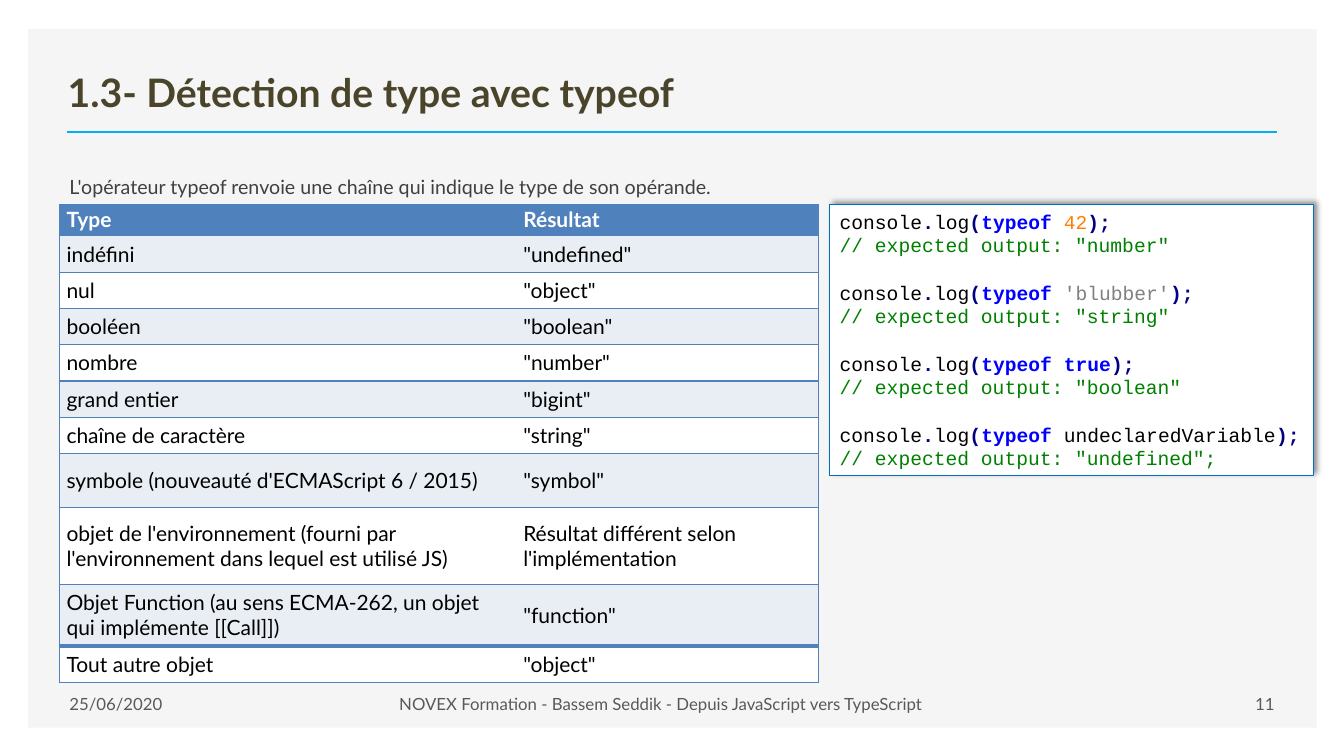
"""Build the slide on type detection with typeof."""
from dataclasses import dataclass

from lxml.etree import SubElement
from pptx import Presentation
from pptx.dml.color import RGBColor as Rgb
from pptx.enum.shapes import MSO_CONNECTOR as Link, MSO_SHAPE as Form
from pptx.enum.text import MSO_ANCHOR as Anchor, PP_ALIGN as Align
from pptx.oxml.ns import qn
from pptx.util import Inches, Pt

WHITE = Rgb(0xFF, 0xFF, 0xFF)
BLACK = Rgb(0, 0, 0)
PANEL = Rgb(0xF5, 0xF5, 0xF5)
CYAN = Rgb(0x00, 0xB0, 0xF0)
OLIVE = Rgb(0x4A, 0x45, 0x2A)
DARK = Rgb(0x40, 0x40, 0x40)
GREY = Rgb(0x59, 0x59, 0x59)
STEEL = Rgb(0x4F, 0x81, 0xBD)
PALE = Rgb(0xE9, 0xED, 0xF4)
EDGE = Rgb(0x00, 0x70, 0xC0)
NAVY = Rgb(0x00, 0x00, 0x80)
BLUE = Rgb(0x00, 0x00, 0xFF)
ORANGE = Rgb(0xFF, 0x80, 0x00)
SILVER = Rgb(0x80, 0x80, 0x80)
GREEN = Rgb(0x00, 0x80, 0x00)
SANS, MONO = "Lato", "Courier New"
PITCH = Pt(16.9)


@dataclass
class Note:
    text: str
    left: float
    top: float
    width: float
    height: float
    size: int
    color: Rgb
    align: Align = Align.LEFT
    anchor: Anchor = Anchor.MIDDLE
    pitch: float = 1.0


@dataclass
class Row:
    kind: str
    result: str
    height: float = 0.36


@dataclass
class Sample:
    value: str
    color: Rgb
    output: str
    bold: bool = False


NOTES = [
    Note("L'opérateur typeof renvoie une chaîne qui indique le type de son opérande.",
         0.59, 1.57, 10.25, 0.45, 14, DARK, anchor=Anchor.TOP, pitch=1.5),
    Note("25/06/2020", 0.59, 6.78, 1.68, 0.4, 12, GREY),
    Note("NOVEX Formation - Bassem Seddik - Depuis JavaScript vers TypeScript",
         2.27, 6.78, 8.57, 0.4, 12, GREY, Align.CENTER),
    Note("11", 10.84, 6.78, 1.9, 0.4, 12, GREY, Align.RIGHT),
]
ROWS = [
    Row("Type", "Résultat", 0.31),
    Row("indéfini", '"undefined"'),
    Row("nul", '"object"'),
    Row("booléen", '"boolean"'),
    Row("nombre", '"number"'),
    Row("grand entier", '"bigint"'),
    Row("chaîne de caractère", '"string"'),
    Row("symbole (nouveauté d'ECMAScript 6 / 2015)", '"symbol"', 0.54),
    Row("objet de l'environnement (fourni par l'environnement dans lequel est utilisé JS)",
        "Résultat différent selon l'implémentation", 0.76),
    Row("Objet Function (au sens ECMA-262, un objet qui implémente [[Call]])",
        '"function"', 0.61),
    Row("Tout autre objet", '"object"'),
]
SAMPLES = [
    Sample("42", ORANGE, '"number"'),
    Sample("'blubber'", SILVER, '"string"'),
    Sample("true", BLUE, '"boolean"', True),
    Sample("undeclaredVariable", BLACK, '"undefined";'),
]


def write(para, text: str, size: int, color: Rgb, bold: bool = False,
          font: str = SANS) -> None:
    """Add one formatted run to a paragraph."""
    run = para.add_run()
    run.text = text
    run.font.name, run.font.size, run.font.bold = font, Pt(size), bold
    run.font.color.rgb = color


def add_frame(slide) -> None:
    """Draw the grey panel, the title and the rule under it."""
    panel = slide.shapes.add_shape(
        Form.RECTANGLE, Inches(0.28), Inches(0.29), Inches(12.78), Inches(6.93))
    panel.shadow.inherit = False
    panel.fill.solid()
    panel.fill.fore_color.rgb = PANEL
    panel.line.fill.background()
    rule = slide.shapes.add_connector(
        Link.STRAIGHT, Inches(0.66), Inches(1.31), Inches(12.67), Inches(1.31))
    rule.line.color.rgb, rule.line.width = CYAN, Pt(2)
    SubElement(rule._element.spPr, qn("a:effectLst"))
    title = slide.shapes.title
    title.left, title.top = Inches(0.57), Inches(0.49)
    title.width, title.height = Inches(12.01), Inches(0.7)
    title.text_frame.vertical_anchor = Anchor.BOTTOM
    para = title.text_frame.paragraphs[0]
    para.alignment = Align.LEFT
    write(para, "1.3- Détection de type avec typeof", 28, OLIVE, True)
    panel._element.getparent().append(title._element)


def add_note(slide, note: Note) -> None:
    """Add one line of plain text."""
    box = slide.shapes.add_textbox(Inches(note.left), Inches(note.top),
                                   Inches(note.width), Inches(note.height))
    frame = box.text_frame
    frame.word_wrap, frame.vertical_anchor = True, note.anchor
    para = frame.paragraphs[0]
    para.alignment, para.line_spacing = note.align, note.pitch
    write(para, note.text, note.size, note.color)


def set_edge(cell, side: str, width: float) -> None:
    """Set one cell border, or clear it when the width is zero."""
    line = SubElement(cell._tc.get_or_add_tcPr(), qn(f"a:ln{side}"), w=str(Pt(width)))
    if width:
        fill = SubElement(line, qn("a:solidFill"))
        SubElement(fill, qn("a:srgbClr"), val=str(STEEL))
    else:
        SubElement(line, qn("a:noFill"))


def add_types(slide) -> None:
    """Add the table of types and results."""
    table = slide.shapes.add_table(
        len(ROWS), 2, Inches(0.59), Inches(2.03), Inches(7.53),
        Inches(sum(row.height for row in ROWS))).table
    table.horz_banding = False
    table.columns[0].width, table.columns[1].width = Inches(4.53), Inches(3)
    last = len(ROWS) - 1
    for r, row in enumerate(ROWS):
        table.rows[r].height = Inches(row.height)
        for c, text in enumerate((row.kind, row.result)):
            cell = table.cell(r, c)
            cell.vertical_anchor = Anchor.MIDDLE
            cell.margin_left = cell.margin_right = Inches(0.07)
            cell.margin_top = Inches(0.05 if r else 0.02)
            cell.margin_bottom = Inches(0.05 if r else 0.04)
            set_edge(cell, "L", 1 - c)
            set_edge(cell, "R", c)
            set_edge(cell, "T", 4 if r == last else 1)
            set_edge(cell, "B", 4 if r == last - 1 else 1)
            cell.fill.solid()
            cell.fill.fore_color.rgb = (PALE if r % 2 else WHITE) if r else STEEL
            write(cell.text_frame.paragraphs[0], text, 15, BLACK if r else WHITE, not r)


def add_code(slide) -> None:
    """Add the code box with its soft shadow."""
    box = slide.shapes.add_shape(
        Form.RECTANGLE, Inches(8.23), Inches(2.03), Inches(4.8), Inches(2.69))
    box.fill.solid()
    box.fill.fore_color.rgb = WHITE
    box.line.color.rgb, box.line.width = EDGE, Pt(0.75)
    fx = SubElement(box._element.spPr, qn("a:effectLst"))
    shade = SubElement(fx, qn("a:outerShdw"), blurRad=str(Pt(4)), dist=str(Pt(3)),
                       dir="18900000", algn="bl", rotWithShape="0")
    tint = SubElement(shade, qn("a:srgbClr"), val=str(BLACK))
    SubElement(tint, qn("a:alpha"), val="40000")
    frame = box.text_frame
    frame.word_wrap, frame.vertical_anchor = True, Anchor.TOP
    for i, item in enumerate(SAMPLES):
        call = frame.add_paragraph() if i else frame.paragraphs[0]
        call.space_before = PITCH if i else Pt(0)
        reply = frame.add_paragraph()
        for para in (call, reply):
            para.alignment, para.line_spacing = Align.LEFT, PITCH
        for text, color, bold in (
                ("console", BLACK, False), (".", NAVY, True), ("log", BLACK, False),
                ("(", NAVY, True), ("typeof", BLUE, True), (" ", BLACK, False),
                (item.value, item.color, item.bold), (");", NAVY, True)):
            write(call, text, 14, color, bold, MONO)
        write(reply, f"// expected output: {item.output}", 14, GREEN, False, MONO)


def main() -> None:
    """Build and save the deck."""
    deck = Presentation()
    deck.slide_width, deck.slide_height = Inches(13.33), Inches(7.5)
    slide = deck.slides.add_slide(deck.slide_layouts[5])
    add_frame(slide)
    for note in NOTES:
        add_note(slide, note)
    add_types(slide)
    add_code(slide)
    deck.save("out.pptx")


if __name__ == "__main__":
    main()
